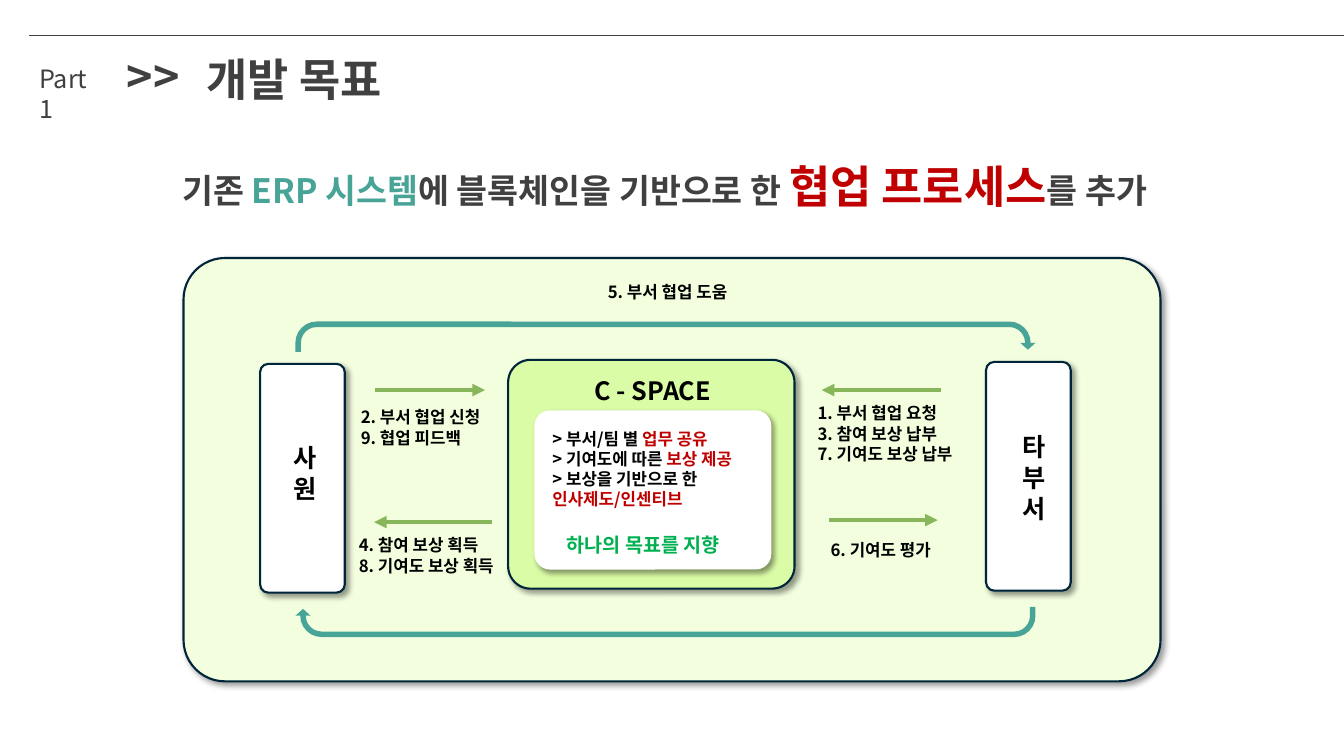
"""Builds a slide on the development goal: collaboration around C - SPACE."""
from pptx import Presentation, util as u
from pptx.dml.color import RGBColor
from pptx.enum import shapes, text
from pptx.oxml import ns, parse_xml

COLOURS = {
    "ink": "404040", "black": "000000", "white": "FFFFFF", "navy": "00253B",
    "pale": "F2FEDE", "lime": "DBFCA6", "leaf": "88B65B", "teal": "48A497",
    "red": "C00000", "green": "00B050",
}
FONT = "Noto Sans CJK KR"
PX = 9144
SHADOW = (
    f'<a:effectLst {ns.nsdecls("a")}><a:outerShdw blurRad="50800" dist="38100" '
    'dir="2700000" algn="tl" rotWithShape="0"><a:srgbClr val="000000">'
    '<a:alpha val="40000"/></a:srgbClr></a:outerShdw></a:effectLst>'
)


def colour(name):
    return RGBColor.from_string(COLOURS[name])


def write(para, words, size=12, ink="black", bold=True):
    """Adds one formatted span to a paragraph."""
    span = para.add_run()
    span.text = words
    span.font.size = u.Pt(size)
    span.font.bold = bold
    span.font.color.rgb = colour(ink)
    span.font.name = FONT
    span.font.language_id = None
    east = parse_xml(f'<a:ea {ns.nsdecls("a")} typeface="{FONT}"/>')
    span.font.fill
    span._r.find(ns.qn("a:rPr")).append(east)


class Painter:
    """Holds the page and draws each kind of element on it."""

    def __init__(self, deck):
        self.page = deck.slides.add_slide(deck.slide_layouts[6])

    def label(self, place, paras, wrap=True, centred=False, vertical=False, **style):
        """Adds a text box; each paragraph is a list of (words, style) spans."""
        box = self.page.shapes.add_textbox(*(n * PX for n in place))
        frame = box.text_frame
        frame.word_wrap = wrap
        frame.auto_size = text.MSO_AUTO_SIZE.SHAPE_TO_FIT_TEXT
        if vertical:
            box.element.find(".//" + ns.qn("a:bodyPr")).set("vert", "eaVert")
        for index, spans in enumerate(paras):
            para = frame.add_paragraph() if index else frame.paragraphs[0]
            if centred:
                para.alignment = text.PP_ALIGN.CENTER
            for words, extra in spans:
                write(para, words, **{**style, **extra})

    def lines(self, place, *rows, **style):
        """Adds a text box with one plain span per paragraph."""
        self.label(place, [[(row, {})] for row in rows], **style)

    def shape(self, kind, place, fill, adjust, line=None, shadow=False, turn=0):
        """Adds a filled preset shape."""
        item = self.page.shapes.add_shape(kind, *(n * PX for n in place))
        for index, value in enumerate(adjust):
            item.adjustments[index] = value
        item.rotation = turn
        item.fill.solid()
        item.fill.fore_color.rgb = colour(fill)
        if line:
            item.line.color.rgb = colour(line)
            item.line.width = u.Pt(1.5)
        else:
            item.line.fill.background()
        if shadow:
            item.element.spPr.append(parse_xml(SHADOW))
        else:
            item.shadow.inherit = False

    def card(self, place, fill, line="navy"):
        """Adds a rounded card with a soft shadow."""
        self.shape(shapes.MSO_SHAPE.ROUNDED_RECTANGLE, place, fill, [0.098], line, True)

    def loop(self, place, turn=0):
        """Adds a U-turn arrow."""
        self.shape(shapes.MSO_SHAPE.U_TURN_ARROW, place, "teal",
                   [0.183, 0.25, 0.227, 0.707, 0.934], turn=turn)

    def rule(self, start, end, y, ink, width, arrow=False):
        """Adds a horizontal line, with an arrowhead at its end if asked."""
        line = self.page.shapes.add_connector(
            shapes.MSO_CONNECTOR.STRAIGHT, start * PX, y * PX, end * PX, y * PX)
        line.line.color.rgb = colour(ink)
        line.line.width = u.Pt(width)
        props = line.element.spPr
        if arrow:
            head = f'<a:tailEnd {ns.nsdecls("a")} type="triangle"/>'
            props.find(ns.qn("a:ln")).append(parse_xml(head))
        props.append(parse_xml(f'<a:effectLst {ns.nsdecls("a")}/>'))


def main():
    deck = Presentation()
    deck.slide_width, deck.slide_height = u.Inches(13.33), u.Inches(7.5)
    draw = Painter(deck)
    red = {"ink": "red"}

    draw.rule(29, 1333, 35, "ink", 0.5)
    draw.lines((116, 43, 79, 64), ">>", wrap=False, size=32, ink="ink")
    draw.lines((195, 46, 210, 64), "개발 목표", wrap=False, size=32, ink="ink")
    draw.lines((29, 58, 80, 40), "Part 1", size=18, ink="ink", bold=False)
    draw.label((133, 153, 1053, 64), [[
        ("기존 ", {}), ("ERP 시스템", {"ink": "teal"}),
        ("에 블록체인을 기반으로 한 ", {}),
        ("협업 프로세스", {"ink": "red", "size": 32}), ("를 추가", {}),
    ]], centred=True, size=24, ink="ink")

    draw.card((182, 256, 969, 420), "pale")
    draw.card((504, 357, 284, 227), "lime")
    draw.lines((580, 367, 160, 40), "C - SPACE", size=18)
    draw.card((258, 361, 84, 227), "white")
    draw.lines((272, 432, 50, 86), "사 원", size=18, vertical=True)
    draw.card((978, 359, 84, 227), "white")
    draw.lines((995, 421, 50, 138), "타 부 서", size=18, vertical=True)

    for start, end, y in ((933, 815, 387), (372, 481, 387),
                          (488, 371, 518), (822, 930, 516)):
        draw.rule(start, end, y, "leaf", 3, arrow=True)
    draw.loop((293, 319, 734, 30))
    draw.loop((293, 602, 734, 30), turn=180)

    draw.lines((801, 395, 181, 71),
               "1. 부서 협업 요청", "3. 참여 보상 납부", "7. 기여도 보상 납부")
    draw.lines((348, 399, 169, 50), "2. 부서 협업 신청", "9. 협업 피드백")
    draw.lines((346, 526, 169, 50), "4. 참여 보상 획득", "8. 기여도 보상 획득")
    draw.lines((593, 275, 160, 30), "5. 부서 협업 도움")
    draw.lines((814, 531, 160, 30), "6. 기여도 평가")

    draw.card((530, 407, 235, 158), "white", line=None)
    draw.label((538, 420, 235, 91), [
        [("> 부서/팀 별 ", {}), ("업무 공유", red)],
        [("> 기여도에 따른 ", {}), ("보상 제공", red)],
        [("> 보상을 기반으로 한 ", {}), ("인사제도/인센티브", red)],
    ])
    draw.lines((552, 524, 201, 34), "하나의 목표를 지향", size=14, ink="green")
    deck.save("out.pptx")


if __name__ == "__main__":
    main()
